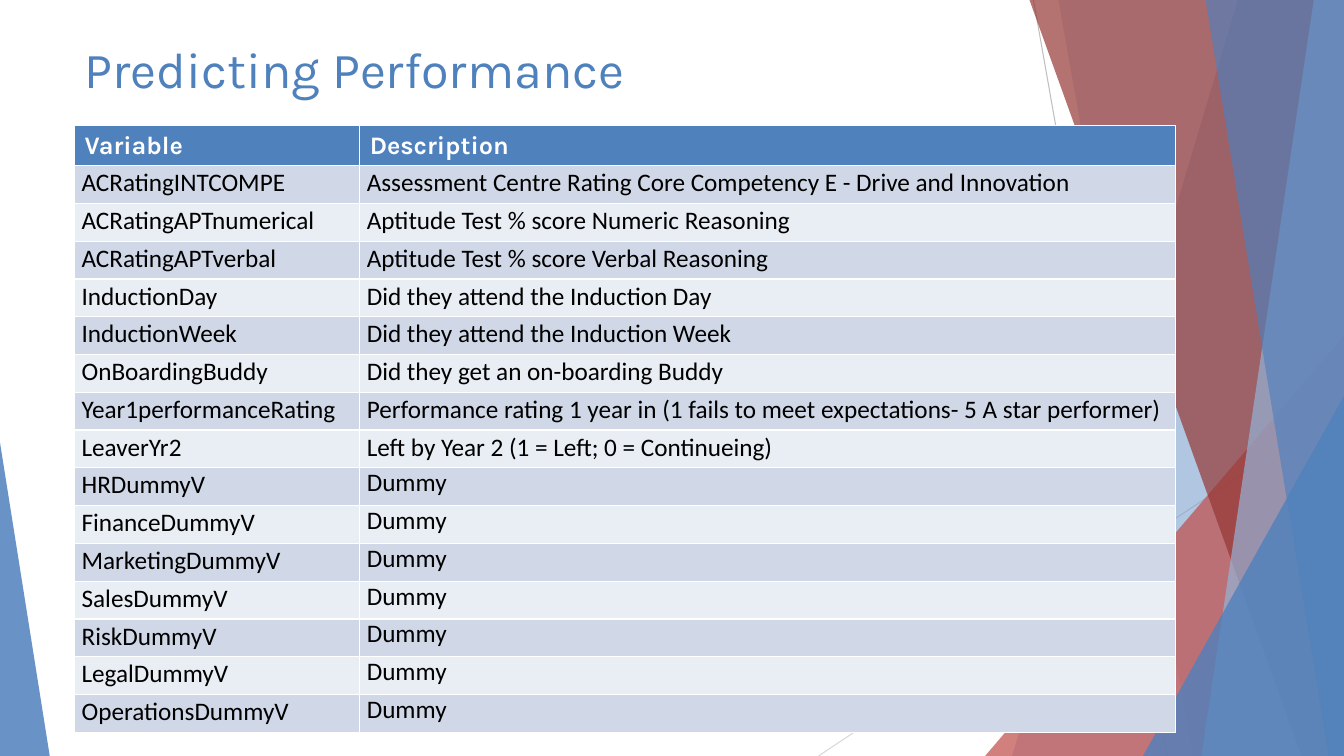
from dataclasses import dataclass

from lxml.etree import SubElement
from pptx import Presentation
from pptx.dml.color import RGBColor
from pptx.enum.shapes import MSO_CONNECTOR, MSO_SHAPE
from pptx.enum.text import MSO_ANCHOR, PP_ALIGN
from pptx.oxml.ns import qn
from pptx.util import Inches, Pt


@dataclass(frozen=True)
class Theme:
    blue: str = "4F81BD"
    pale_blue: str = "95B3D7"
    red: str = "C0504D"
    dark_red: str = "953735"
    white: str = "FFFFFF"
    black: str = "000000"
    stripes: tuple = ("D0D8E8", "E9EDF4")
    heading_font: str = "Karla"
    body_font: str = "Calibri"
    title_size: int = 36
    table_size: int = 18


theme = Theme()
deck = Presentation()
deck.slide_width, deck.slide_height = Inches(13.33), Inches(7.5)
slide = deck.slides.add_slide(deck.slide_layouts[5])
shapes = slide.shapes

# One percent of the slide's width and height
col, row = deck.slide_width / 100, deck.slide_height / 100


def style_text(paragraph, font_name, size, color, bold=False):
    for run in paragraph.runs:
        run.font.name, run.font.size, run.font.bold = font_name, Pt(size), bold
        run.font.color.rgb = RGBColor.from_string(color)


def tint(shape, color, opacity):
    shape.shadow.inherit = False
    shape.line.fill.background()
    shape.fill.solid()
    shape.fill.fore_color.rgb = RGBColor.from_string(color)
    color_node = shape.fill._xPr.find(qn("a:solidFill"))[0]
    SubElement(color_node, qn("a:alpha"), val=str(opacity * 1000))


# Thin lines behind the facets: x1, y1, x2, y2, colour
for x1, y1, x2, y2, color in [(76.9, 0, 86.85, 100, "BFBFBF"),
                              (100, 53.75, 60.9, 100, "D9D9D9")]:
    ray = shapes.add_connector(MSO_CONNECTOR.STRAIGHT, int(x1 * col), int(y1 * row),
                               int(x2 * col), int(y2 * row))
    ray.line.color.rgb = RGBColor.from_string(color)
    ray.line.width = Pt(0.75)
    SubElement(ray._element.spPr, qn("a:effectLst"))

# Facets, back to front. A band runs from its slanted left edge (top x, bottom x)
# to the slide's right side; a corner (left, top, width, apex) stands on the bottom.
facets = [
    ("band", (92.1, 75.3), theme.blue, 30),
    ("band", (78.75, 88.75), theme.blue, 20),
    ("corner", (73.3, 44.4, 26.7, 1), theme.red, 72),
    ("band", (76.6, 96.85), theme.dark_red, 70),
    ("band", (97.75, 89.4), theme.pale_blue, 70),
    ("band", (89.7, 98.85), theme.blue, 65),
    ("corner", (85.05, 52.4, 14.95, 1), theme.blue, 80),
    ("corner", (0, 58.55, 3.7, 0), theme.blue, 85),
]
for kind, place, color, opacity in facets:
    if kind == "band":
        top_x, bottom_x = place
        outline = shapes.build_freeform(int(top_x * col), 0)
        outline.add_line_segments([(int(x * col), int(y * row)) for x, y in
                                   [(100, 0), (100, 100), (bottom_x, 100)]])
        facet = outline.convert_to_shape()
    else:
        left, top, width, apex = place
        facet = shapes.add_shape(MSO_SHAPE.ISOSCELES_TRIANGLE, int(left * col), int(top * row),
                                 int(width * col), int((100 - top) * row))
        facet.adjustments[0] = apex
    tint(facet, color, opacity)

# Title
title = shapes.title
title.left, title.top = int(5.55 * col), int(3.75 * row)
title.width, title.height = int(70.5 * col), int(12.25 * row)
heading = title.text_frame
heading.text = "Predicting Performance"
heading.vertical_anchor = MSO_ANCHOR.TOP
heading.margin_top = Inches(0.1)
heading.paragraphs[0].alignment = PP_ALIGN.LEFT
style_text(heading.paragraphs[0], theme.heading_font, theme.title_size, theme.blue)

# Variables and their descriptions
departments = ["HR", "Finance", "Marketing", "Sales", "Risk", "Legal", "Operations"]
variables = [
    ("Variable", "Description"),
    ("ACRatingINTCOMPE", "Assessment Centre Rating Core Competency E - Drive and Innovation"),
    ("ACRatingAPTnumerical", "Aptitude Test % score Numeric Reasoning"),
    ("ACRatingAPTverbal", "Aptitude Test % score Verbal Reasoning"),
    ("InductionDay", "Did they attend the Induction Day"),
    ("InductionWeek", "Did they attend the Induction Week"),
    ("OnBoardingBuddy", "Did they get an on-boarding Buddy"),
    ("Year1performanceRating",
     "Performance rating 1 year in (1 fails to meet expectations- 5 A star performer)"),
    ("LeaverYr2", "Left by Year 2 (1 = Left; 0 = Continueing)"),
] + [(f"{department}DummyV", "Dummy") for department in departments]

column_widths = [21.22, 60.68]
row_height = 5
glossary = shapes.add_table(len(variables), 2, int(5.55 * col), int(16.65 * row),
                            int(sum(column_widths) * col),
                            int(len(variables) * row_height * row)).table
for column, width in zip(glossary.columns, column_widths):
    column.width = int(width * col)

for r, entry in enumerate(variables):
    glossary.rows[r].height = int(row_height * row)
    for c, wording in enumerate(entry):
        cell = glossary.cell(r, c)
        cell.text_frame.text = wording
        paragraph = cell.text_frame.paragraphs[0]
        cell.fill.solid()
        if r == 0:
            cell.fill.fore_color.rgb = RGBColor.from_string(theme.blue)
            style_text(paragraph, theme.heading_font, theme.table_size, theme.white, bold=True)
            continue
        cell.fill.fore_color.rgb = RGBColor.from_string(theme.stripes[(r - 1) % 2])
        cell.margin_left = cell.margin_right = Inches(0.07)
        cell.margin_top = cell.margin_bottom = 0
        if wording != "Dummy":
            paragraph.line_spacing = 1.07
        style_text(paragraph, theme.body_font, theme.table_size, theme.black)

deck.save("out.pptx")
